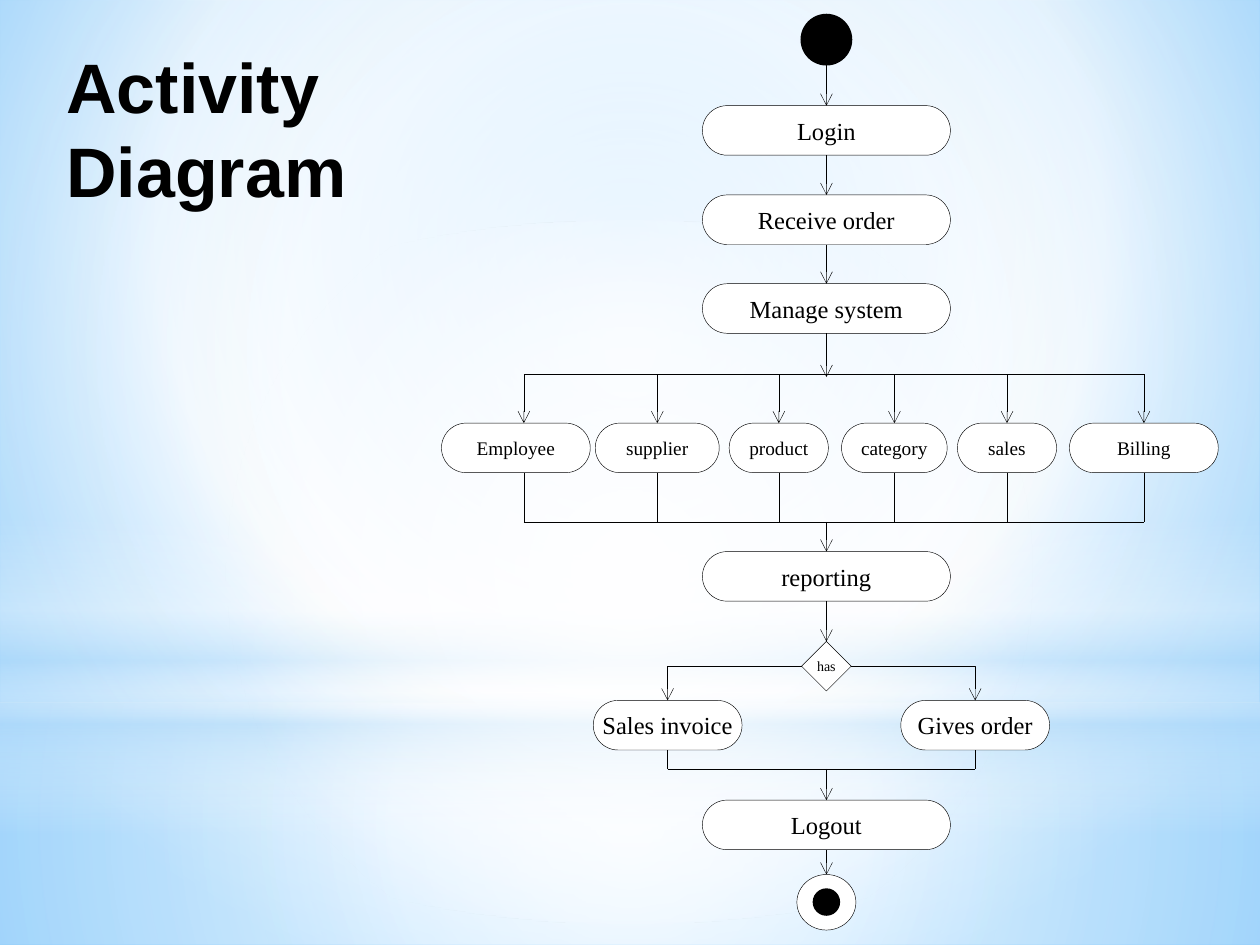
from lxml.etree import SubElement
from pptx import Presentation
from pptx.dml.color import RGBColor
from pptx.enum.shapes import MSO_CONNECTOR as Connector, MSO_SHAPE as Shape
from pptx.enum.text import MSO_ANCHOR as Anchor, PP_ALIGN as Align
from pptx.oxml.ns import qn
from pptx.util import Cm, Pt

THEME = {
    "ink": RGBColor(0, 0, 0), "paper": RGBColor(255, 255, 255),
    "body_font": "Times New Roman", "title_font": "Arial",
    "title": 40, "step": 14, "module": 11, "decision": 8,
    "hairline": 0.25, "dot_line": 1.25,
}
WIDTH, HEIGHT = 25.4, 19.05
AXIS, NODE_HEIGHT, STEP_WIDTH, BRANCH_WIDTH = 16.66, 1, 5, 3
TITLE = ["Activity", "Diagram"]
STEPS = [("Login", 2.13), ("Receive order", 3.93), ("Manage system", 5.72),
         ("reporting", 11.12), ("Logout", 16.13)]
MODULES = [("Employee", 10.4, 3, 10.56), ("supplier", 13.25, 2.5, 13.25),
           ("product", 15.7, 2, 15.7), ("category", 18.03, 2.13, 18.03),
           ("sales", 20.3, 2, 20.3), ("Billing", 23.06, 3, 23.06)]
BRANCHES = [("Sales invoice", 13.46), ("Gives order", 19.66)]
START_TOP, MODULE_TOP, DECISION_TOP, BRANCH_TOP, END_TOP = 0.3, 8.53, 12.93, 14.12, 17.63
FORK, JOIN, MERGE = 7.54, 10.52, 15.5
AXIS_ARROWS = [(1.3, 2.13), (3.13, 3.93), (4.93, 5.72), (6.72, 7.6), (JOIN, 11.12),
               (12.12, 12.93), (MERGE, 16.13), (17.13, 17.63)]

CENTRE = (50, 50, 50, 50)
BACKGROUND = [(0, "9ED5FF", 100), (60, "FFFFFF", 100), (100, "5BB9FF", 100)]
GLOWS = [
    (Shape.RECTANGLE, 14.17, 4.88, CENTRE,
     [(0, "FFFFFF", 91), (37, "FFFFFF", 76), (100, "B4DCFA", 79)]),
    (Shape.RECTANGLE, 0, 14.17, CENTRE,
     [(0, "FFFFFF", 89), (48, "FFFFFF", 62), (100, "B4DCFA", 79)]),
    (Shape.RECTANGLE, 10.46, 6.35, None,
     [(0, "FFFFFF", 0), (29, "FFFFFF", 30), (45, "B4DCFA", 40),
      (55, "FFFFFF", 26), (65, "B4DCFA", 60), (100, "FFFFFF", 0)]),
    (Shape.OVAL, 4.45, 14.17, CENTRE, [(0, "FFFFFF", 100), (56, "FFFFFF", 0)]),
]


def set_gradient(fill, element, stops, focus):
    fill.solid()
    fill.fore_color.rgb = THEME["paper"]
    gradient = next(element.iter(qn("a:solidFill")))
    gradient.clear()
    gradient.tag = qn("a:gradFill")
    gradient.set("rotWithShape", "1")
    stop_list = SubElement(gradient, qn("a:gsLst"))
    for position, color, opacity in stops:
        stop = SubElement(stop_list, qn("a:gs"), pos=str(position * 1000))
        color_element = SubElement(stop, qn("a:srgbClr"), val=color)
        if opacity < 100:
            SubElement(color_element, qn("a:alpha"), val=str(opacity * 1000))
    if focus:
        radial = SubElement(gradient, qn("a:path"), path="circle")
        SubElement(radial, qn("a:fillToRect"),
                   {side: str(value * 1000) for side, value in zip("ltrb", focus)})
    else:
        SubElement(gradient, qn("a:lin"), ang="5400000", scaled="0")


def add_glow(slide, kind, top, height, focus, stops):
    shape = slide.shapes.add_shape(kind, 0, Cm(top), Cm(WIDTH), Cm(height))
    shape.shadow.inherit = False
    shape.line.fill.background()
    set_gradient(shape.fill, shape._element.spPr, stops, focus)


def add_node(slide, kind, center, top, width, height, fill="paper", line="hairline"):
    shape = slide.shapes.add_shape(
        kind, Cm(center - width / 2), Cm(top), Cm(width), Cm(height))
    shape.shadow.inherit = False
    shape.fill.solid()
    shape.fill.fore_color.rgb = THEME[fill]
    shape.line.color.rgb = THEME["ink"]
    shape.line.width = Pt(THEME[line])
    return shape


def add_label(shape, text, size):
    frame = shape.text_frame
    frame.word_wrap = False
    frame.vertical_anchor = Anchor.MIDDLE
    frame.margin_left = frame.margin_right = 0
    frame.margin_top = frame.margin_bottom = 0
    paragraph = frame.paragraphs[0]
    paragraph.text = text
    paragraph.alignment = Align.CENTER
    paragraph.font.name = THEME["body_font"]
    paragraph.font.size = Pt(THEME[size])
    paragraph.font.color.rgb = THEME["ink"]


def add_pill(slide, text, center, top, width, size="step"):
    shape = add_node(slide, Shape.ROUNDED_RECTANGLE, center, top, width, NODE_HEIGHT)
    shape.adjustments[0] = 0.5
    add_label(shape, text, size)


def add_line(slide, x1, y1, x2, y2, arrow=False, bent=False):
    kind = Connector.ELBOW if bent else Connector.STRAIGHT
    connector = slide.shapes.add_connector(kind, Cm(x1), Cm(y1), Cm(x2), Cm(y2))
    connector.line.color.rgb = THEME["ink"]
    connector.line.width = Pt(THEME["hairline"])
    properties = connector._element.spPr
    if bent:
        properties.find(qn("a:prstGeom")).set("prst", "bentConnector2")
    if arrow:
        SubElement(properties.find(qn("a:ln")), qn("a:tailEnd"), type="arrow")
    SubElement(properties, qn("a:effectLst"))


def add_title(slide):
    frame = slide.shapes.add_textbox(Cm(1.09), Cm(0.76), Cm(6.15), Cm(3.68)).text_frame
    frame.word_wrap = False
    frame.text = "\n".join(TITLE)
    for paragraph in frame.paragraphs:
        paragraph.font.name = THEME["title_font"]
        paragraph.font.size = Pt(THEME["title"])
        paragraph.font.bold = True
        paragraph.font.color.rgb = THEME["ink"]


def add_nodes(slide):
    add_node(slide, Shape.FLOWCHART_CONNECTOR, AXIS, START_TOP, 1, 1, "ink", "dot_line")
    for text, top in STEPS:
        add_pill(slide, text, AXIS, top, STEP_WIDTH)
    for text, center, width, _ in MODULES:
        add_pill(slide, text, center, MODULE_TOP, width, "module")
    decision = add_node(slide, Shape.DIAMOND, AXIS, DECISION_TOP, 1, 1)
    add_label(decision, "has", "decision")
    for text, center in BRANCHES:
        add_pill(slide, text, center, BRANCH_TOP, BRANCH_WIDTH)
    add_node(slide, Shape.FLOWCHART_CONNECTOR, AXIS, END_TOP, 1.19, 1.12)
    add_node(slide, Shape.FLOWCHART_CONNECTOR, AXIS, END_TOP + 0.3, 0.51, 0.51,
             "ink", "dot_line")


def add_flows(slide):
    for start, end in AXIS_ARROWS:
        add_line(slide, AXIS, start, AXIS, end, arrow=True)
    lanes = [lane for *_, lane in MODULES]
    for lane in lanes:
        add_line(slide, lane, FORK, lane, MODULE_TOP, arrow=True)
        add_line(slide, lane, MODULE_TOP + NODE_HEIGHT, lane, JOIN)
    for level in (FORK, JOIN):
        add_line(slide, lanes[0], level, lanes[-1], level)
    centers = [center for _, center in BRANCHES]
    for center, side in zip(centers, (-0.5, 0.5)):
        add_line(slide, AXIS + side, DECISION_TOP + 0.5, center, BRANCH_TOP,
                 arrow=True, bent=True)
        add_line(slide, center, BRANCH_TOP + NODE_HEIGHT, center, MERGE)
    add_line(slide, centers[0], MERGE, centers[1], MERGE)


def main():
    presentation = Presentation()
    presentation.slide_width, presentation.slide_height = Cm(WIDTH), Cm(HEIGHT)
    slide = presentation.slides.add_slide(presentation.slide_layouts[6])
    set_gradient(slide.background.fill, slide._element, BACKGROUND, (20, 10, 20, 60))
    for glow in GLOWS:
        add_glow(slide, *glow)
    add_nodes(slide)
    add_flows(slide)
    add_title(slide)
    presentation.save("out.pptx")


if __name__ == "__main__":
    main()
